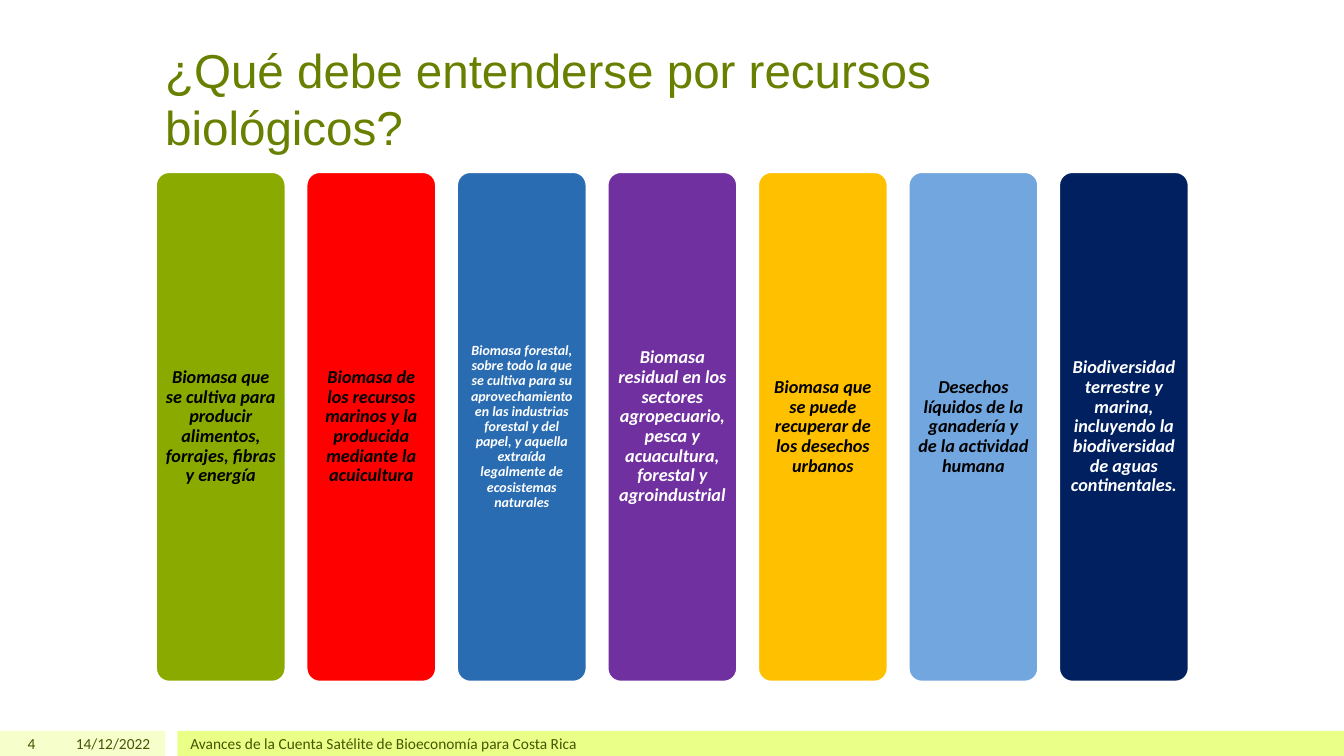
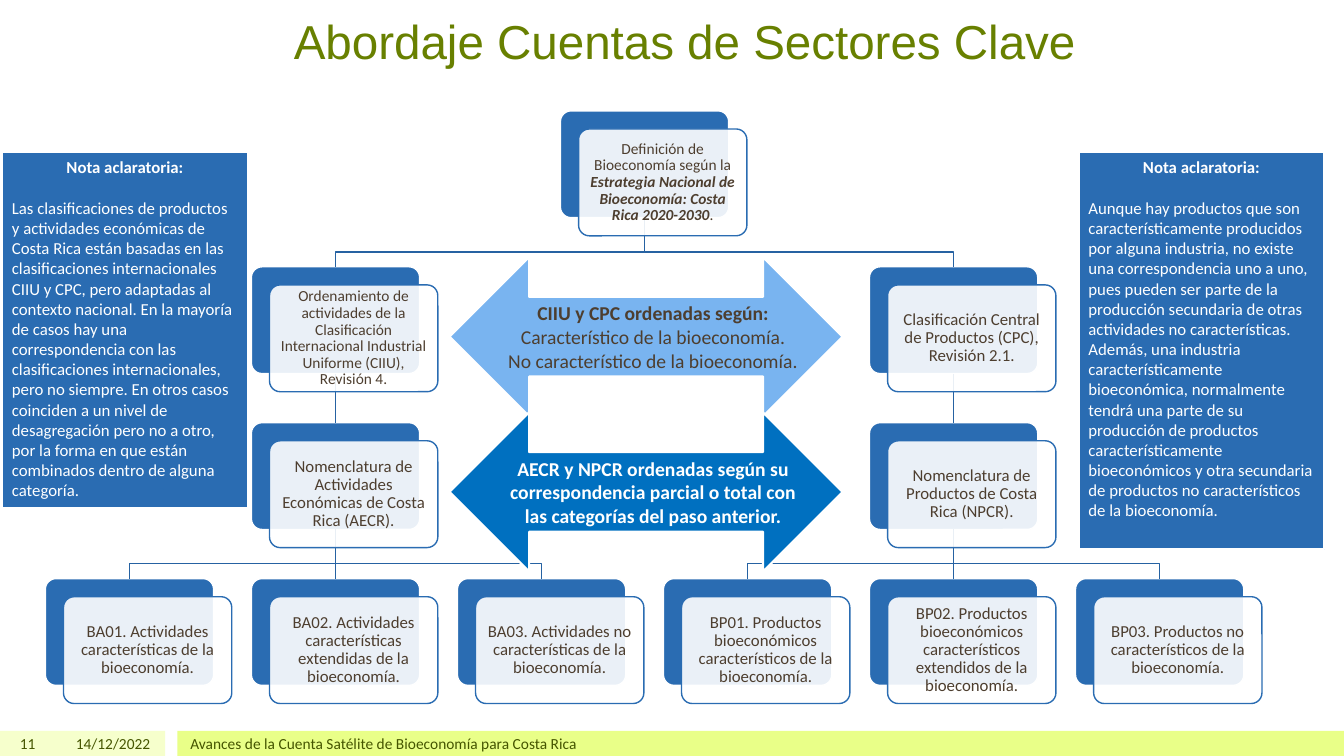
from dataclasses import dataclass

from pptx import Presentation, util as u
from pptx.dml import color
from pptx.enum import shapes, text
from pptx.oxml import xmlchemy

KIND = shapes.MSO_SHAPE
LEFT, CENTER, RIGHT = text.PP_ALIGN.LEFT, text.PP_ALIGN.CENTER, text.PP_ALIGN.RIGHT
TOP, MIDDLE, BOTTOM = text.MSO_ANCHOR.TOP, text.MSO_ANCHOR.MIDDLE, text.MSO_ANCHOR.BOTTOM
SCALE = 9144


@dataclass(frozen=True)
class Theme:
    """Colours, fonts and type sizes shared by all slides."""
    title: str = "688000"
    band_pale: str = "F6FFCC"
    band: str = "E9FF88"
    footer: str = "455500"
    white: str = "FFFFFF"
    black: str = "000000"
    green: str = "8BAA00"
    red: str = "FF0000"
    blue: str = "2A6CB2"
    purple: str = "7030A0"
    amber: str = "FFC000"
    sky: str = "72A6DE"
    navy: str = "002060"
    brown: str = "4D3E2F"
    link: str = "2662A2"
    arrow_light: str = "79B4F0"
    arrow_dark: str = "0070C0"
    head_font: str = "Arial"
    body_font: str = "Calibri"
    title_size: int = 34
    arrow_size: int = 14
    column_size: int = 13
    card_size: int = 12
    small_size: int = 11
    tiny_size: int = 10


T = Theme()
DATE = "14/12/2022"
FOOTER = "Avances de la Cuenta Satélite de Bioeconomía para Costa Rica"

COLUMNS = [
    ("Biomasa que se cultiva para producir alimentos, forrajes, fibras y energía",
     T.green, T.black, T.column_size),
    ("Biomasa de los recursos marinos y la producida mediante la acuicultura",
     T.red, T.black, T.column_size),
    ("Biomasa forestal, sobre todo la que se cultiva para su aprovechamiento en las "
     "industrias forestal y del papel, y aquella extraída legalmente de ecosistemas naturales",
     T.blue, T.white, T.tiny_size),
    ("Biomasa residual en los sectores agropecuario, pesca y acuacultura, forestal y agroindustrial",
     T.purple, T.white, T.column_size),
    ("Biomasa que se puede recuperar de los desechos urbanos",
     T.amber, T.black, T.column_size),
    ("Desechos líquidos de la ganadería y de la actividad humana",
     T.sky, T.black, T.column_size),
    ("Biodiversidad terrestre y marina, incluyendo la biodiversidad de aguas continentales.",
     T.navy, T.white, T.column_size),
]

TREE = {
    "root": (None, 2.5, 0, T.small_size, [
        ("Definición de Bioeconomía según la ", ""),
        ("Estrategia Nacional de Bioeconomía: Costa Rica 2020-2030", "bi"), (".", "")]),
    "ciiu": ("root", 1, 1, T.small_size, [
        ("Ordenamiento de actividades de la Clasificación Internacional Industrial "
         "Uniforme (CIIU), Revisión 4.", "")]),
    "aecr": ("ciiu", 1, 2, T.card_size, [
        ("Nomenclatura de Actividades Económicas de Costa Rica (AECR).", "")]),
    "ba01": ("aecr", 0, 3, T.card_size, [
        ("BA01. Actividades características de la bioeconomía.", "")]),
    "ba02": ("aecr", 1, 3, T.card_size, [
        ("BA02. Actividades características extendidas de la bioeconomía.", "")]),
    "ba03": ("aecr", 2, 3, T.card_size, [
        ("BA03. Actividades no características de la bioeconomía.", "")]),
    "cpc": ("root", 4, 1, T.card_size, [
        ("Clasificación Central de Productos (CPC), Revisión 2.1.", "")]),
    "npcr": ("cpc", 4, 2, T.card_size, [
        ("Nomenclatura de Productos de Costa Rica (NPCR).", "")]),
    "bp01": ("npcr", 3, 3, T.card_size, [
        ("BP01. Productos bioeconómicos característicos de la bioeconomía.", "")]),
    "bp02": ("npcr", 4, 3, T.card_size, [
        ("BP02. Productos bioeconómicos característicos extendidos de la bioeconomía.", "")]),
    "bp03": ("npcr", 5, 3, T.card_size, [
        ("BP03. Productos no característicos de la bioeconomía.", "")]),
}

NOTE_LEFT = [
    "Las clasificaciones de productos y actividades económicas de Costa Rica están basadas "
    "en las clasificaciones internacionales CIIU y CPC, pero adaptadas al contexto nacional. "
    "En la mayoría de casos hay una correspondencia con las clasificaciones internacionales, "
    "pero no siempre. En otros casos coinciden a un nivel de desagregación pero no a otro, "
    "por la forma en que están combinados dentro de alguna categoría.",
]
NOTE_RIGHT = [
    "Aunque hay productos que son característicamente producidos por alguna industria, no "
    "existe una correspondencia uno a uno, pues pueden ser parte de la producción secundaria "
    "de otras actividades no características.",
    "Además, una industria característicamente bioeconómica, normalmente tendrá una parte de "
    "su producción de productos característicamente bioeconómicos y otra secundaria de "
    "productos no característicos de la bioeconomía.",
]


def px(*values):
    """Turn px into a list of EMU lengths."""
    return [u.Emu(round(v * SCALE)) for v in values]


def rgb(code):
    """Return the colour of a hex code."""
    return color.RGBColor.from_string(code)


def write(sp, paras, size, ink, align=LEFT, anchor=MIDDLE, inset=(10, 5, 10, 5),
          font=T.body_font, spacing=None):
    """Fill a shape with paragraphs made of (text, style) runs."""
    tf = sp.text_frame
    tf.word_wrap = True
    tf.vertical_anchor = anchor
    tf.margin_left, tf.margin_top, tf.margin_right, tf.margin_bottom = px(*inset)
    for i, runs in enumerate(paras):
        p = tf.add_paragraph() if i else tf.paragraphs[0]
        p.alignment = align
        p.line_spacing = spacing
        for words, style in runs:
            r = p.add_run()
            r.text = words
            r.font.name, r.font.size = font, u.Pt(size)
            r.font.bold, r.font.italic = "b" in style, "i" in style
            r.font.color.rgb = rgb(ink)
    return tf


def add_block(s, kind, box, fill, line=None, width=1):
    """Add a flat preset shape."""
    sp = s.shapes.add_shape(kind, *px(*box))
    sp.shadow.inherit = False
    sp.fill.solid()
    sp.fill.fore_color.rgb = rgb(fill)
    if line:
        sp.line.color.rgb = rgb(line)
        sp.line.width = u.Pt(width)
    else:
        sp.line.fill.background()
    if kind == KIND.ROUNDED_RECTANGLE:
        sp.adjustments[0] = 0.1
    return sp


def add_title(s, box, words, align=LEFT):
    """Add the slide title."""
    write(s.shapes.add_textbox(*px(*box)), [[(words, "")]], T.title_size, T.title,
          align, BOTTOM, font=T.head_font)


def add_footer(s, number, y=725, h=25):
    """Add the two bands with number, date and footer text."""
    add_block(s, KIND.RECTANGLE, (0, y, 164, h), T.band_pale)
    add_block(s, KIND.RECTANGLE, (176, y, 1157.33, h), T.band)
    for x, w, words, align in ((0, 45, str(number), RIGHT), (50, 109, DATE, RIGHT),
                               (179, 1000, FOOTER, LEFT)):
        write(s.shapes.add_textbox(*px(x, y, w, h)), [[(words, "")]],
              T.small_size, T.footer, align)


def add_columns(s, box, items, col_w=128):
    """Spread rounded columns evenly over a box."""
    x, y, w, h = box
    pitch = (w - col_w) / (len(items) - 1)
    for i, (words, fill, ink, size) in enumerate(items):
        sp = add_block(s, KIND.ROUNDED_RECTANGLE, (x + i * pitch, y, col_w, h), fill, T.white)
        write(sp, [[(words, "bi")]], size, ink, CENTER, inset=(5, 5, 5, 5), spacing=0.9)


def add_link(s, parent, child):
    """Link a card to the one below, straight or with a bend."""
    x1, y1 = parent.left + parent.width // 2, parent.top + parent.height
    x2, y2 = child.left + child.width // 2, child.top
    if x1 == x2:
        sp = s.shapes.add_connector(shapes.MSO_CONNECTOR.STRAIGHT, x1, y1, x2, y2)
        sp.begin_connect(parent, 2)
        sp.end_connect(child, 0)
        sp._element.spPr.append(xmlchemy.OxmlElement("a:effectLst"))
    else:
        bend = y1 + (y2 - y1) * 7 // 10
        path_builder = s.shapes.build_freeform(x1, y1)
        path_builder.add_line_segments([(x1, bend), (x2, bend), (x2, y2)], close=False)
        sp = path_builder.convert_to_shape()
        sp.shadow.inherit = False
        sp.fill.background()
    sp.line.color.rgb = rgb(T.link)
    sp.line.width = u.Pt(1)


def add_tree(s, box, tree, card=(167, 106), shift=18):
    """Lay the cards out on a grid of six columns and four rows, with links."""
    x, y, w, h = box
    dx, dy = (w - card[0]) / 5, (h - card[1]) / 3
    spots = {k: (x + col * dx, y + row * dy) for k, (_, col, row, _, _) in tree.items()}
    backs = {k: add_block(s, KIND.ROUNDED_RECTANGLE, (*spot, *card), T.blue, T.white)
             for k, spot in spots.items()}
    for k, (parent, *_) in tree.items():
        if parent:
            add_link(s, backs[parent], backs[k])
    for k, (_, _, _, size, runs) in tree.items():
        left, top = spots[k]
        sp = add_block(s, KIND.ROUNDED_RECTANGLE, (left + shift, top + shift, *card),
                       T.white, T.blue)
        alpha = xmlchemy.OxmlElement("a:alpha")
        alpha.set("val", "90000")
        sp._element.spPr.find(".//{*}solidFill/{*}srgbClr").append(alpha)
        write(sp, [runs], size, T.brown, CENTER, inset=(5, 5, 5, 5), spacing=0.9)


def add_arrow(s, box, fill, ink, paras):
    """Add a double arrow with its message."""
    sp = add_block(s, KIND.LEFT_RIGHT_ARROW, box, fill, T.white, 1.5)
    write(sp, paras, T.arrow_size, ink, CENTER, inset=(14, 0, 0, 0))


def add_note(s, box, body):
    """Add a note with a centred heading."""
    sp = add_block(s, KIND.RECTANGLE, box, T.blue, T.white, 1.5)
    paras = [[("Nota aclaratoria:", "b")]] + [[(words, "")] for words in body]
    tf = write(sp, paras, T.card_size, T.white, anchor=TOP)
    tf.paragraphs[0].alignment = CENTER
    tf.paragraphs[0].space_after = u.Pt(14.6)


def resources_slide(s):
    """Build the slide on biological resources."""
    add_footer(s, 4)
    add_title(s, (154, 30, 1020, 129), "¿Qué debe entenderse por recursos biológicos?")
    add_columns(s, (155, 171, 1024, 505), COLUMNS)


def accounts_slide(s):
    """Build the slide on the key sector accounts."""
    add_footer(s, 11)
    add_tree(s, (45, 110, 1189, 570), TREE)
    add_title(s, (167, 0, 1025, 73), "Abordaje Cuentas de Sectores Clave", CENTER)
    add_arrow(s, (446, 255, 390, 158), T.arrow_light, T.brown, [
        [("CIIU y CPC ordenadas según:", "b")],
        [("Característico de la bioeconomía.", "")],
        [("No característico de la bioeconomía.", "")]])
    add_arrow(s, (446, 409, 390, 158), T.arrow_dark, T.white, [
        [("AECR y NPCR ordenadas según su correspondencia parcial o total con "
          "las categorías del paso anterior.", "b")]])
    add_note(s, (1070, 151, 244, 394), NOTE_RIGHT)
    add_note(s, (2, 151, 244, 353), NOTE_LEFT)


def main():
    """Build and save the presentation."""
    prs = Presentation()
    prs.slide_width, prs.slide_height = px(1333.33, 750)
    for build in (resources_slide, accounts_slide):
        build(prs.slides.add_slide(prs.slide_layouts[6]))
    prs.save("out.pptx")


if __name__ == "__main__":
    main()
